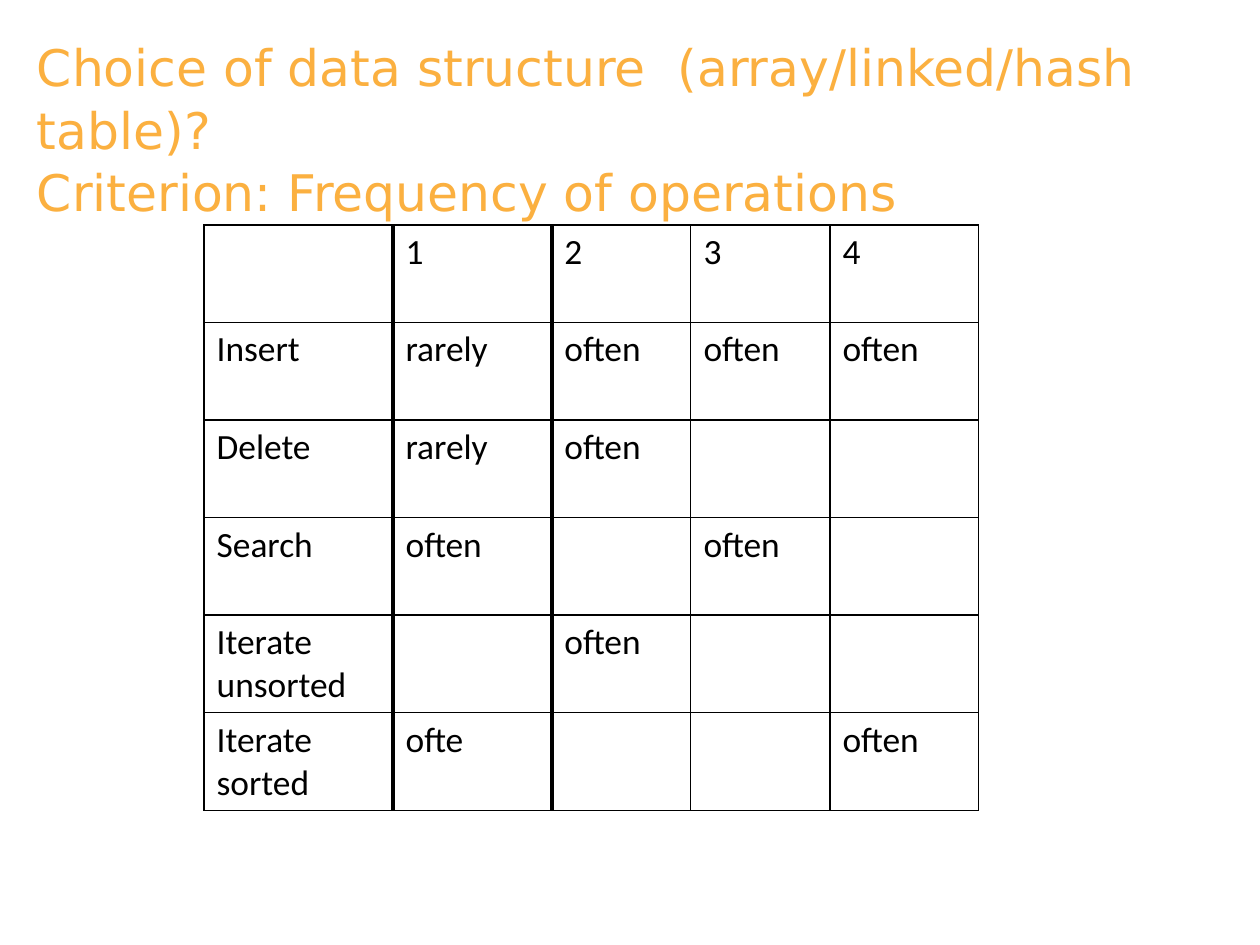
from lxml.etree import SubElement
from pptx import Presentation
from pptx.dml.color import RGBColor as Color
from pptx.enum.text import MSO_ANCHOR as Anchor
from pptx.oxml.ns import qn
from pptx.util import Inches, Pt

COLORS = {"title": "FBB040", "ink": "000000"}
SLIDE_WIDTH, SLIDE_HEIGHT = 10.87, 8.15
TITLE_BOX = (0.22, 0.25, 10.11, 1.46)
TABLE_BOX = (1.76, 1.94, 6.67, 5.05)
COLUMN_WIDTHS = (1.63, 1.37, 1.2, 1.2, 1.28)
THIN, THICK = 1, 3
THICK_RULES = (1, 2)  # vertical rules, counted from the left edge

TITLE = ("Choice of data structure  (array/linked/hash table)?\v"
         "Criterion: Frequency of operations")
FREQUENCIES = (
    ("", "1", "2", "3", "4"),
    ("Insert", "rarely", "often", "often", "often"),
    ("Delete", "rarely", "often", "", ""),
    ("Search", "often", "", "often", ""),
    ("Iterate\nunsorted", "", "often", "", ""),
    ("Iterate sorted", "ofte", "", "", "often"),
)


def style_font(para, name, size, color):
    para.font.name = name
    para.font.size = Pt(size)
    para.font.color.rgb = Color.from_string(COLORS[color])


def set_border(cell, side, width):
    line = SubElement(cell._tc.get_or_add_tcPr(), qn(f"a:ln{side}"), w=str(Pt(width)))
    fill = SubElement(line, qn("a:solidFill"))
    SubElement(fill, qn("a:srgbClr"), val=COLORS["ink"])


def add_title(page, box):
    frame = page.shapes.add_textbox(*map(Inches, box)).text_frame
    frame.word_wrap = True
    frame.vertical_anchor = Anchor.TOP
    para = frame.paragraphs[0]
    para.text = TITLE
    para.line_spacing = 1.03
    style_font(para, "DejaVu Sans", 31.3, "title")


def fill_cell(cell, text, column):
    cell.margin_left = cell.margin_right = Inches(0.11)
    cell.margin_top = cell.margin_bottom = Inches(0.05)
    cell.text = text
    for para in cell.text_frame.paragraphs:
        style_font(para, "Calibri", 22, "ink")
    # Borders come before the fill in the cell properties
    for side, rule in (("L", column), ("R", column + 1)):
        set_border(cell, side, THICK if rule in THICK_RULES else THIN)
    for side in "TB":
        set_border(cell, side, THIN)
    cell.fill.background()


def add_frequency_table(page, box):
    row_count, column_count = len(FREQUENCIES), len(COLUMN_WIDTHS)
    table = page.shapes.add_table(row_count, column_count, *map(Inches, box)).table
    table.first_row = table.horz_banding = False
    for column, width in zip(table.columns, COLUMN_WIDTHS):
        column.width = Inches(width)
    for row, texts in enumerate(FREQUENCIES):
        for column, text in enumerate(texts):
            fill_cell(table.cell(row, column), text, column)


def main():
    deck = Presentation()
    deck.slide_width, deck.slide_height = Inches(SLIDE_WIDTH), Inches(SLIDE_HEIGHT)
    page = deck.slides.add_slide(deck.slide_layouts[6])
    add_title(page, TITLE_BOX)
    add_frequency_table(page, TABLE_BOX)
    deck.save("out.pptx")


if __name__ == "__main__":
    main()
